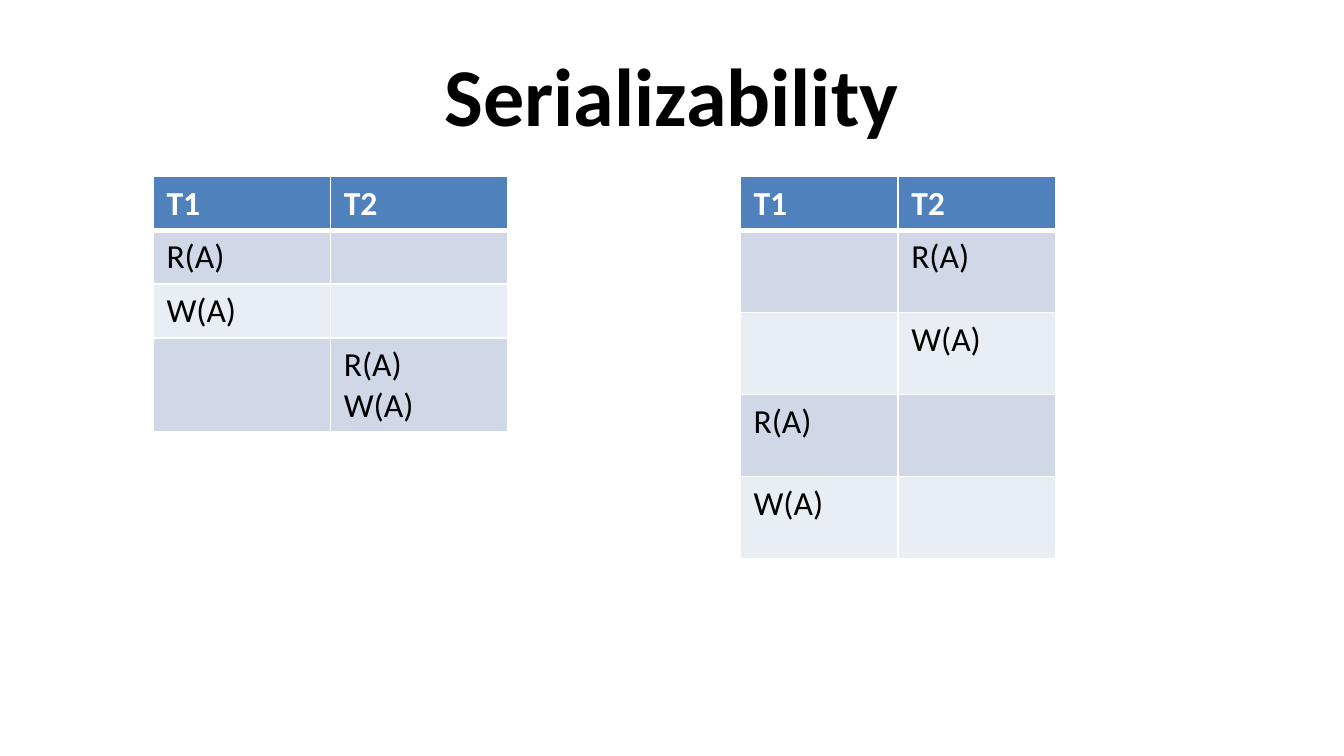
from lxml import etree
from pptx import Presentation
from pptx.dml.color import RGBColor
from pptx.enum.text import MSO_ANCHOR, PP_ALIGN
from pptx.oxml.ns import qn
from pptx.util import Pt

CENTER, LEFT = PP_ALIGN.CENTER, PP_ALIGN.LEFT
MIDDLE = MSO_ANCHOR.MIDDLE
FONT = "Calibri"
BLACK, WHITE = "000000", "FFFFFF"
HEADER_FILL = "4F81BD"
BAND_FILLS = ("D0D8E8", "E9EDF4")
THIN, THICK = 1, 3

TITLE_FORMAT = {"size": Pt(44), "bold": True, "name": FONT}
HEADER_FORMAT = {"size": Pt(18), "bold": True, "name": FONT}
BODY_FORMAT = {"size": Pt(18), "bold": False, "name": FONT}

SERIAL_T1_FIRST = [("T1", "T2"), ("R(A)", ""), ("W(A)", ""), ("", "R(A)\nW(A)")]
SERIAL_T2_FIRST = [("T1", "T2"), ("", "R(A)"), ("", "W(A)"), ("R(A)", ""), ("W(A)", "")]


def colour(value):
    return RGBColor.from_string(value)


def write_text(frame, text, formats, text_colour, align=LEFT):
    frame.text = text
    for para in frame.paragraphs:
        para.alignment = align
        for key, value in formats.items():
            setattr(para.font, key, value)
        for span in para.runs:
            for key, value in formats.items():
                setattr(span.font, key, value)
            span.font.color.rgb = colour(text_colour)


def add_title(page, text, left, top, width, height):
    box = page.shapes.add_textbox(Pt(left), Pt(top), Pt(width), Pt(height))
    frame = box.text_frame
    frame.word_wrap = True
    frame.vertical_anchor = MIDDLE
    write_text(frame, text, TITLE_FORMAT, BLACK, CENTER)


def add_borders(cell, top, bottom):
    """Draw white cell edges; call before the fill, which must follow them."""
    properties = cell._tc.get_or_add_tcPr()
    for side, width in (("L", THIN), ("R", THIN), ("T", top), ("B", bottom)):
        line = etree.SubElement(properties, qn(f"a:ln{side}"), w=str(Pt(width)))
        fill = etree.SubElement(line, qn("a:solidFill"))
        etree.SubElement(fill, qn("a:srgbClr"), val=WHITE)


def add_schedule(page, rows, left, top, width, row_heights):
    columns = len(rows[0])
    table = page.shapes.add_table(
        len(rows), columns, Pt(left), Pt(top), Pt(width), Pt(sum(row_heights))
    ).table
    for column in table.columns:
        column.width = Pt(width / columns)
    for index, (texts, height) in enumerate(zip(rows, row_heights)):
        table.rows[index].height = Pt(height)
        header = index == 0
        fill = HEADER_FILL if header else BAND_FILLS[(index - 1) % 2]
        for column, text in enumerate(texts):
            cell = table.cell(index, column)
            add_borders(cell, THICK if index == 1 else THIN, THICK if header else THIN)
            cell.fill.solid()
            cell.fill.fore_color.rgb = colour(fill)
            write_text(
                cell.text_frame,
                text,
                HEADER_FORMAT if header else BODY_FORMAT,
                WHITE if header else BLACK,
            )


def main():
    deck = Presentation()
    deck.slide_width, deck.slide_height = Pt(720), Pt(405)
    page = deck.slides.add_slide(deck.slide_layouts[6])
    add_title(page, "Serializability", 36, 16.5, 648, 67.5)
    add_schedule(page, SERIAL_T1_FIRST, 82, 94.5, 190, [28] * 4)
    add_schedule(page, SERIAL_T2_FIRST, 396.5, 94.5, 169, [25] + [44] * 4)
    deck.save("out.pptx")


if __name__ == "__main__":
    main()
